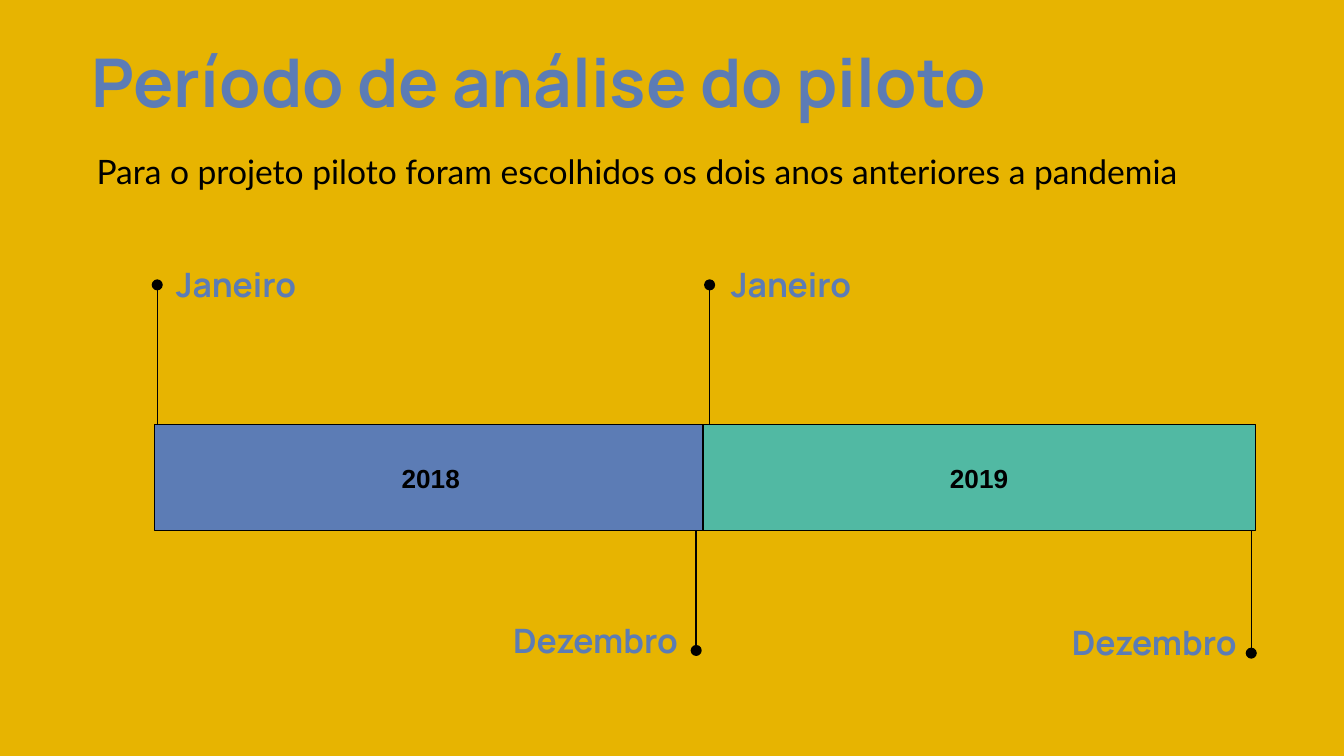
from dataclasses import dataclass

from lxml.etree import SubElement
from pptx import Presentation
from pptx.dml.color import RGBColor
from pptx.enum.shapes import MSO_CONNECTOR, MSO_SHAPE
from pptx.enum.text import MSO_ANCHOR, PP_ALIGN
from pptx.oxml.ns import qn
from pptx.slide import Slide
from pptx.text.text import TextFrame
from pptx.util import Inches, Pt


@dataclass(frozen=True)
class Style:
    font: str
    size: int
    color: str
    bold: bool = True


@dataclass(frozen=True)
class Theme:
    background: str = "E7B401"
    line: str = "000000"
    line_width: float = 0.75
    title: Style = Style("Manrope", 36, "5C7CB5")
    month: Style = Style("Manrope", 18, "5C7CB5")
    body: Style = Style("Lato", 18, "000000", False)
    year: Style = Style("Arial", 14, "000000")


@dataclass(frozen=True)
class Box:
    left: float
    top: float
    width: float
    height: float

    def lengths(self) -> tuple:
        return tuple(Inches(v) for v in (self.left, self.top, self.width, self.height))


@dataclass(frozen=True)
class Year:
    text: str
    left: float
    fill: str


@dataclass(frozen=True)
class Milestone:
    text: str
    x: float
    start: float
    end: float
    label: Box
    align: PP_ALIGN = PP_ALIGN.LEFT


THEME = Theme()
BAR_TOP, BAR_WIDTH, BAR_HEIGHT = 3.16, 4.11, 0.79
YEARS = [Year("2018", 1.15, "5C7CB5"), Year("2019", 5.23, "51B9A3")]
MILESTONES = [
    Milestone("Janeiro", 1.17, 3.17, 2.12, Box(1.21, 1.9, 2.53, 0.43)),
    Milestone("Dezembro", 5.18, 3.93, 4.84, Box(3.72, 4.55, 2.53, 0.43)),
    Milestone("Janeiro", 5.28, 3.17, 2.12, Box(5.34, 1.9, 2.57, 0.43)),
    Milestone("Dezembro", 9.31, 3.95, 4.86, Box(6.73, 4.56, 2.57, 0.43), PP_ALIGN.RIGHT),
]


def write(tf: TextFrame, text: str, style: Style, align: PP_ALIGN, anchor: MSO_ANCHOR):
    """Fill a text frame with one styled run and return its paragraph."""
    tf.word_wrap = True
    tf.vertical_anchor = anchor
    tf.margin_left = tf.margin_right = tf.margin_top = tf.margin_bottom = Inches(0.1)
    p = tf.paragraphs[0]
    p.alignment = align
    r = p.add_run()
    r.text = text
    r.font.name = style.font
    r.font.size = Pt(style.size)
    r.font.bold = style.bold
    r.font.color.rgb = RGBColor.from_string(style.color)
    return p


def add_text(s: Slide, box: Box, text: str, style: Style,
             align: PP_ALIGN = PP_ALIGN.LEFT, anchor: MSO_ANCHOR = MSO_ANCHOR.TOP):
    """Add a text box and return its paragraph."""
    tb = s.shapes.add_textbox(*box.lengths())
    return write(tb.text_frame, text, style, align, anchor)


def add_milestone(s: Slide, m: Milestone) -> None:
    """Draw a dotted-end stem and its month label."""
    x = Inches(m.x)
    cx = s.shapes.add_connector(MSO_CONNECTOR.STRAIGHT, x, Inches(m.start), x, Inches(m.end))
    cx.line.color.rgb = RGBColor.from_string(THEME.line)
    cx.line.width = Pt(THEME.line_width)
    SubElement(cx.line._get_or_add_ln(), qn("a:tailEnd"), type="oval")
    SubElement(cx._element.spPr, qn("a:effectLst"))
    add_text(s, m.label, m.text, THEME.month, m.align, MSO_ANCHOR.MIDDLE)


def add_year(s: Slide, year: Year) -> None:
    """Draw one year segment of the timeline bar."""
    box = Box(year.left, BAR_TOP, BAR_WIDTH, BAR_HEIGHT)
    sp = s.shapes.add_shape(MSO_SHAPE.RECTANGLE, *box.lengths())
    sp.shadow.inherit = False
    sp.fill.solid()
    sp.fill.fore_color.rgb = RGBColor.from_string(year.fill)
    sp.line.color.rgb = RGBColor.from_string(THEME.line)
    sp.line.width = Pt(THEME.line_width)
    write(sp.text_frame, year.text, THEME.year, PP_ALIGN.CENTER, MSO_ANCHOR.MIDDLE)


def main() -> None:
    """Build the pilot period slide."""
    prs = Presentation()
    prs.slide_width = Inches(10)
    prs.slide_height = Inches(10 * 9 / 16)
    s = prs.slides.add_slide(prs.slide_layouts[6])
    s.background.fill.solid()
    s.background.fill.fore_color.rgb = RGBColor.from_string(THEME.background)

    add_text(s, Box(0.58, 0.2, 9.32, 0.7), "Período de análise do piloto", THEME.title)
    p = add_text(s, Box(0.62, 0.98, 9.06, 0.5),
                 "Para o projeto piloto foram escolhidos os dois anos anteriores a pandemia",
                 THEME.body)
    p.line_spacing = 1.15
    p.space_after = Pt(16)

    for m in MILESTONES:
        add_milestone(s, m)
    for year in YEARS:
        add_year(s, year)
    prs.save("out.pptx")


if __name__ == "__main__":
    main()
